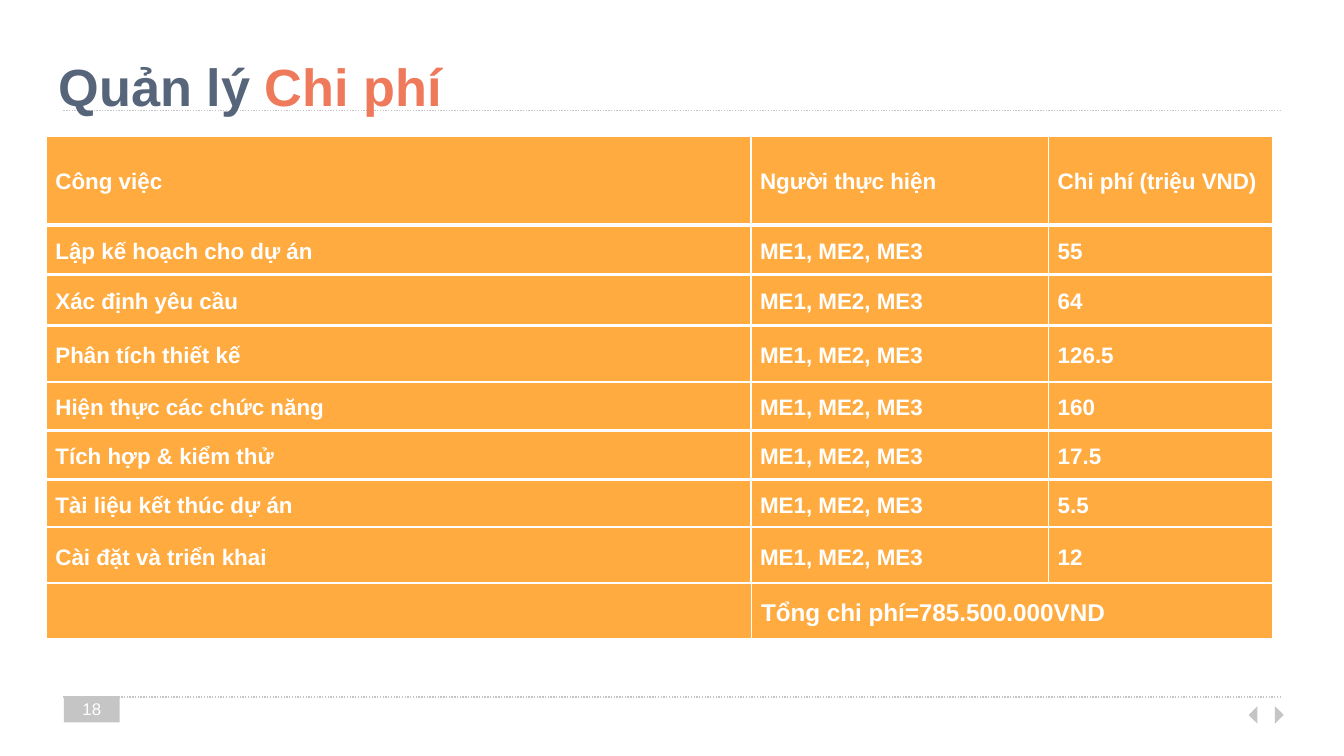
import pptx
import pptx.util
import pptx.dml.color
import pptx.enum.dml
import pptx.enum.shapes
import pptx.enum.text
import pptx.oxml
import pptx.oxml.ns

Pt = pptx.util.Pt
RGB = pptx.dml.color.RGBColor
Shape = pptx.enum.shapes.MSO_SHAPE
Align = pptx.enum.text.PP_ALIGN
Anchor = pptx.enum.text.MSO_ANCHOR

WHITE = RGB(0xFF, 0xFF, 0xFF)
GREY = RGB(0xC6, 0xC5, 0xC5)
SLATE = RGB(0x56, 0x65, 0x79)
CORAL = RGB(0xEE, 0x79, 0x5B)
ORANGE = RGB(0xFF, 0xAB, 0x40)


def add_run(para, text, size, color, bold=True):
    run = para.add_run()
    run.text = text
    run.font.name = "Arial"
    run.font.size = Pt(size)
    run.font.bold = bold
    run.font.color.rgb = color


def add_box(left, top, width, height):
    frame = slide.shapes.add_textbox(Pt(left), Pt(top), Pt(width), Pt(height)).text_frame
    frame.word_wrap = True
    frame.margin_left = frame.margin_right = Pt(7.2)
    frame.margin_top = frame.margin_bottom = Pt(7.2)
    return frame


deck = pptx.Presentation()
deck.slide_width = Pt(720)
deck.slide_height = Pt(405)
slide = deck.slides.add_slide(deck.slide_layouts[6])

for y in (373.5, 59.2):
    rule = slide.shapes.add_connector(
        pptx.enum.shapes.MSO_CONNECTOR.STRAIGHT, Pt(34), Pt(y), Pt(686), Pt(y))
    rule.line.color.rgb = GREY
    rule.line.width = Pt(0.75)
    rule.line.dash_style = pptx.enum.dml.MSO_LINE.ROUND_DOT
    rule._element.spPr.append(pptx.oxml.parse_xml(
        f"<a:effectLst {pptx.oxml.ns.nsdecls('a')}/>"))

for kind, left, top, width, height, turn in (
    (Shape.RIGHT_TRIANGLE, 670.3, 379.7, 6.6, 6.6, 45),
    (Shape.RECTANGLE, 34.2, 373, 30, 14, 0),
    (Shape.RIGHT_TRIANGLE, 679.7, 379.7, 6.6, 6.6, 225),
):
    mark = slide.shapes.add_shape(kind, Pt(left), Pt(top), Pt(width), Pt(height))
    mark.rotation = turn
    mark.shadow.inherit = False
    mark.fill.solid()
    mark.fill.fore_color.rgb = GREY
    mark.line.fill.background()

title = add_box(24.5, 16.6, 671, 36.7).paragraphs[0]
title.line_spacing = 1.15
add_run(title, "Quản lý ", 28, SLATE)
add_run(title, "Chi phí", 28, CORAL)

page = add_box(34.2, 373, 30, 14)
page.vertical_anchor = Anchor.MIDDLE
page.paragraphs[0].alignment = Align.CENTER
add_run(page.paragraphs[0], "18", 9, WHITE, False)

TEAM = "ME1, ME2, ME3"
THREE = (377.5, 159.5, 120.3)
TWO = (378, 279.3)
rows = (
    (72.9, 48, ("Công việc", "Người thực hiện", "Chi phí (triệu VND)")),
    (121, 26.5, ("Lập kế hoạch cho dự án", TEAM, "55")),
    (147.5, 27.2, ("Xác định yêu cầu", TEAM, "64")),
    (174.8, 31, ("Phân tích thiết kế", TEAM, "126.5")),
    (204.7, 26.4, ("Hiện thực các chức năng", TEAM, "160")),
    (231.2, 26.2, ("Tích hợp & kiểm thử", TEAM, "17.5")),
    (257.2, 26, ("Tài liệu kết thúc dự án", TEAM, "5.5")),
    (282.7, 31, ("Cài đặt và triển khai", TEAM, "12")),
    (312.3, 31, ("", "Tổng chi phí=785.500.000VND")),
)
for top, height, texts in rows:
    cols = THREE if len(texts) == 3 else TWO
    size = 12 if cols == THREE else 13
    table = slide.shapes.add_table(
        1, len(cols), Pt(24.7), Pt(top), Pt(sum(cols)), Pt(height)).table
    table.first_row = table.horz_banding = False
    for index, (width, text) in enumerate(zip(cols, texts)):
        table.columns[index].width = Pt(width)
        cell = table.cell(0, index)
        cell.margin_left = cell.margin_right = Pt(5)
        cell.margin_top = cell.margin_bottom = 0
        cell.vertical_anchor = Anchor.MIDDLE
        props = cell._tc.get_or_add_tcPr()
        for side, weight in (("L", 1), ("R", 1), ("T", 1), ("B", 3)):
            props.append(pptx.oxml.parse_xml(
                f"<a:ln{side} {pptx.oxml.ns.nsdecls('a')} w='{Pt(weight)}'>"
                f"<a:solidFill><a:srgbClr val='{WHITE}'/></a:solidFill></a:ln{side}>"))
        cell.fill.solid()
        cell.fill.fore_color.rgb = ORANGE
        if text:
            para = cell.text_frame.paragraphs[0]
            para.alignment = Align.JUSTIFY
            para.line_spacing = 1.07
            para.space_before = Pt(2.5)
            para.space_after = Pt(8.4)
            add_run(para, text, size, WHITE)

deck.save("out.pptx")
